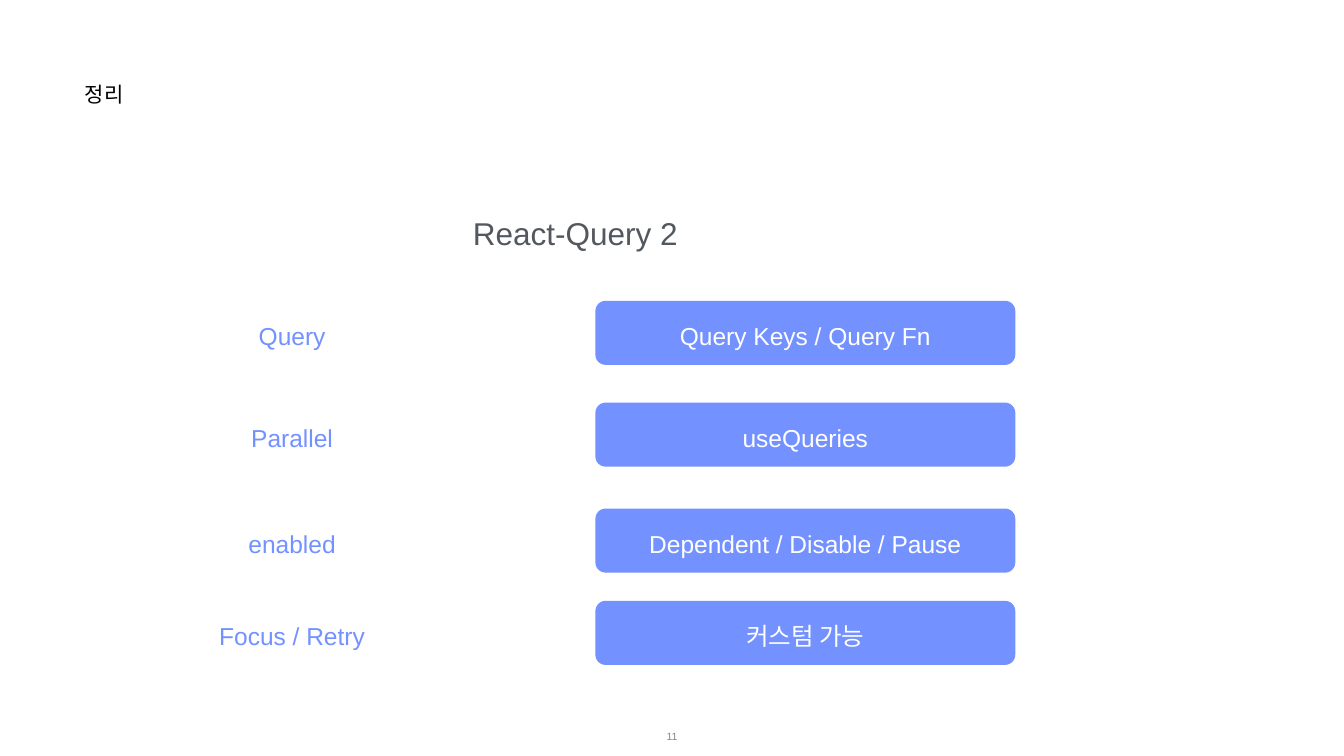
from pptx import Presentation
from pptx import util as u
from pptx.dml import color
from pptx.enum import shapes, text

TITLE = "정리"
HEADING = "React-Query 2"
PAGE_NUMBER = "11"
ROWS = [
    (15.16, "Query", "Query Keys / Query Fn"),
    (20.29, "Parallel", "useQueries"),
    (25.63, "enabled", "Dependent / Disable / Pause"),
    (30.28, "Focus / Retry", "커스텀 가능"),
]
LABEL_LEFT, LABEL_WIDTH = 6.78, 15.88
PILL_LEFT, PILL_WIDTH = 30, 21.16
ROW_HEIGHT = 3.23
ROW_INSET = 0.3
BLUE, WHITE, BLACK = "7391FF", "FFFFFF", "000000"
DARK_GREY, LIGHT_GREY = "53585F", "888888"
MIDDLE, TOP = text.MSO_ANCHOR.MIDDLE, text.MSO_ANCHOR.TOP
CENTER, LEFT = text.PP_ALIGN.CENTER, text.PP_ALIGN.LEFT


def rgb(value):
    return color.RGBColor.from_string(value)


def box(left, top, width, height):
    return [u.Cm(value) for value in (left, top, width, height)]


def write(shape, words, size, hue, anchor=MIDDLE, align=CENTER, top_inset=0.03):
    frame = shape.text_frame
    frame.text = words
    frame.word_wrap = True
    frame.auto_size = text.MSO_AUTO_SIZE.NONE
    frame.vertical_anchor = anchor
    frame.margin_left = frame.margin_right = frame.margin_bottom = u.Cm(0.03)
    frame.margin_top = u.Cm(top_inset)
    paragraph = frame.paragraphs[0]
    paragraph.alignment = align
    font = paragraph.runs[0].font
    font.name = "Arial"
    font.size = u.Pt(size)
    font.color.rgb = rgb(hue)


def add_pill(slide, top):
    pill = slide.shapes.add_shape(
        shapes.MSO_SHAPE.ROUNDED_RECTANGLE,
        *box(PILL_LEFT, top, PILL_WIDTH, ROW_HEIGHT))
    pill.adjustments[0] = 0.16
    pill.shadow.inherit = False
    pill.fill.solid()
    pill.fill.fore_color.rgb = rgb(BLUE)
    pill.line.fill.background()
    return pill


def main():
    presentation = Presentation()
    presentation.slide_width = u.Cm(67.72)
    presentation.slide_height = u.Cm(38.1)
    slide = presentation.slides.add_slide(presentation.slide_layouts[5])

    title = slide.shapes.title
    title.left, title.top, title.width, title.height = box(4.24, 4.06, 12.34, 3)
    write(title, TITLE, 30, BLACK, TOP, LEFT)

    heading = slide.shapes.add_textbox(*box(6.71, 10.77, 44.55, 2))
    write(heading, HEADING, 45, DARK_GREY, TOP)

    for top, label_words, pill_words in ROWS:
        label = slide.shapes.add_textbox(
            *box(LABEL_LEFT, top, LABEL_WIDTH, ROW_HEIGHT))
        write(label, label_words, 35, BLUE, top_inset=ROW_INSET)
        write(add_pill(slide, top), pill_words, 35, WHITE, top_inset=ROW_INSET)

    page_number = slide.shapes.add_textbox(*box(26.24, 36.09, 15.24, 2))
    write(page_number, PAGE_NUMBER, 15, LIGHT_GREY)

    presentation.save("out.pptx")


if __name__ == "__main__":
    main()
